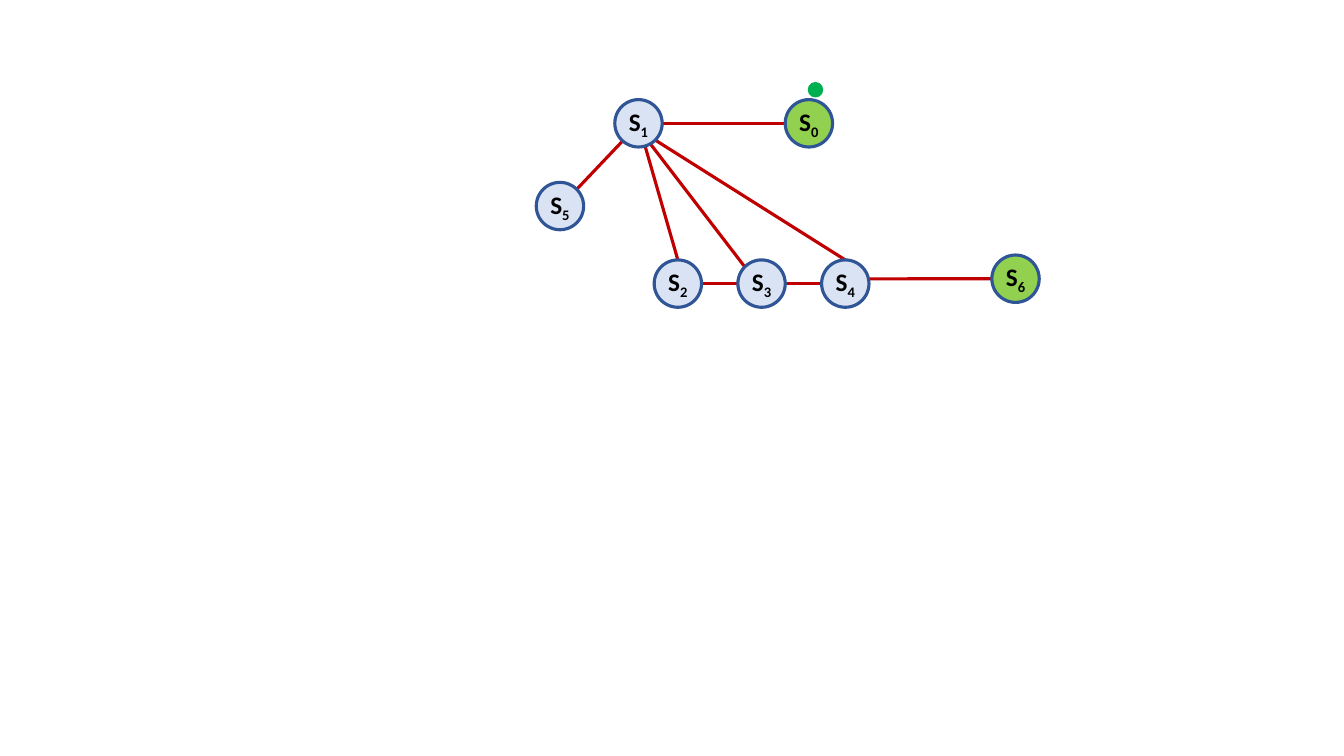
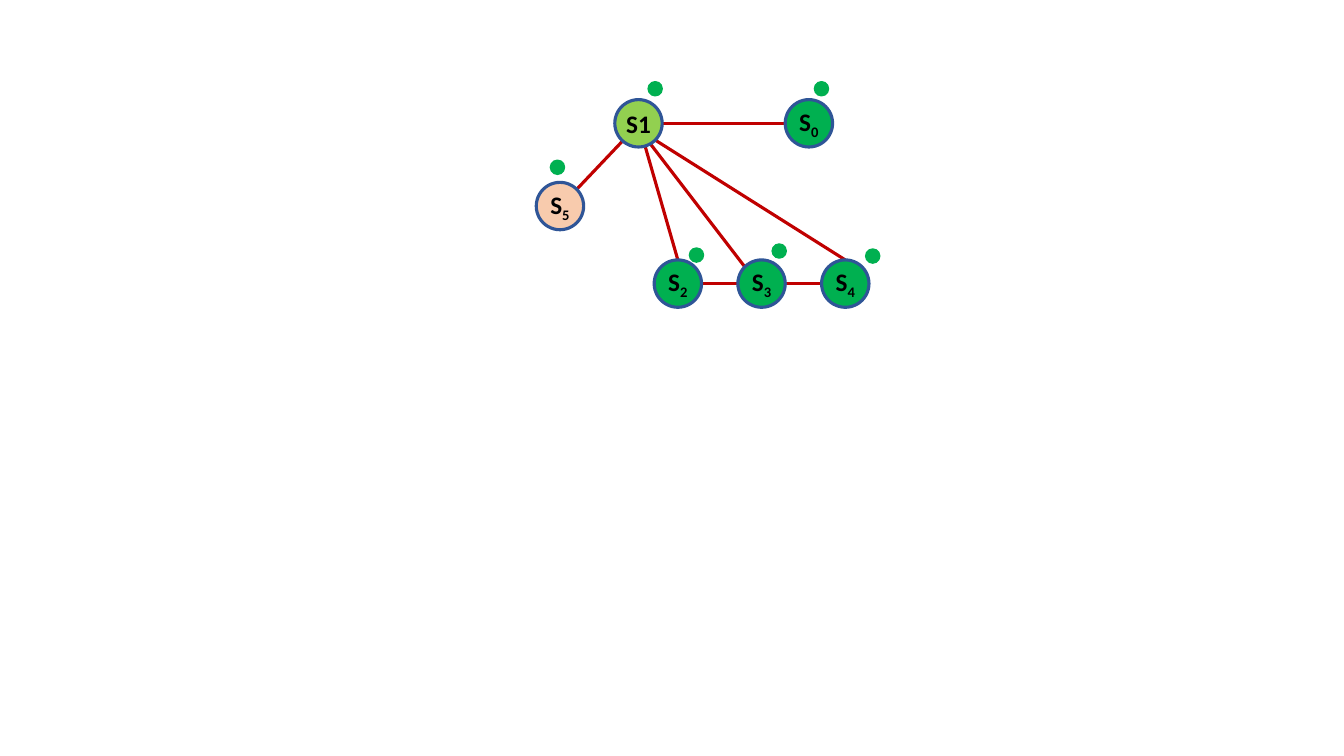
from lxml import etree
from pptx import Presentation
from pptx.dml.color import RGBColor
from pptx.enum.shapes import MSO_CONNECTOR, MSO_SHAPE
from pptx.enum.text import MSO_ANCHOR, PP_ALIGN
from pptx.oxml.ns import qn
from pptx.util import Pt

OVAL = MSO_SHAPE.OVAL
STRAIGHT = MSO_CONNECTOR.STRAIGHT
MIDDLE = MSO_ANCHOR.MIDDLE
CENTER = PP_ALIGN.CENTER

COLORS = {
    "link": "C00000",
    "outline": "2F5597",
    "text": "000000",
    "idle": "DAE3F3",
    "active": "92D050",
    "done": "00B050",
    "warm": "F8CBAD",
}
FONT = "Calibri"
BLANK_LAYOUT = 6
NODE_SIZE = 33.84
DOT_SIZE = 10.08
LINE_WIDTH = 2.25

# Node centres in points; S2 to S4 form an evenly spaced row
ROW_LEFT, ROW_Y, ROW_STEP = 484.2, 202.6, 59.8
CENTERS = {
    "S1": (456.1, 88.1),
    **{f"S{i + 2}": (ROW_LEFT + i * ROW_STEP, ROW_Y) for i in range(3)},
    "S5": (400, 147.2),
    "S0": (577.8, 88.1),
    "S6": (725.4, 199.1),
}

# Anchors on a node, in radii from its centre
DIAGONAL = 0.71
MIDPOINT, TOP = (0, 0), (0, -1)
LEFT, RIGHT = (-1, 0), (1, 0)
TOP_LEFT, TOP_RIGHT = (-DIAGONAL, -DIAGONAL), (DIAGONAL, -DIAGONAL)
BOTTOM_RIGHT = (DIAGONAL, DIAGONAL)
RIGHT_RAISED = (1, -0.2)

SHARED_LINKS = [
    ("S1", RIGHT, "S0", LEFT),
    ("S4", TOP, "S1", BOTTOM_RIGHT),
    ("S1", TOP_LEFT, "S3", TOP_LEFT),
    ("S1", MIDPOINT, "S2", TOP),
    ("S1", TOP_RIGHT, "S5", TOP_RIGHT),
    ("S2", RIGHT, "S3", LEFT),
    ("S3", RIGHT, "S4", LEFT),
]
EXTRA_LINK = ("S4", RIGHT_RAISED, "S6", LEFT)

# Each slide: links, node fills, dot offsets from node centres, plain labels
SLIDES = [
    {
        "links": SHARED_LINKS + [EXTRA_LINK],
        "fills": {"S1": "idle", "S2": "idle", "S3": "idle", "S4": "idle",
                  "S5": "idle", "S0": "active", "S6": "active"},
        "dots": {"S0": (4.7, -24)},
        "plain": set(),
    },
    {
        "links": SHARED_LINKS,
        "fills": {"S1": "active", "S2": "done", "S3": "done", "S4": "done",
                  "S5": "warm", "S0": "done"},
        "dots": {"S0": (9, -24.7), "S1": (11.9, -24.7), "S2": (13.3, -20.4),
                 "S3": (12.6, -23.3), "S4": (19.6, -19.7), "S5": (-1.8, -27.7)},
        "plain": {"S1"},
    },
]


def color(name):
    return RGBColor.from_string(COLORS[name])


def anchor_point(node, anchor):
    return [Pt(center + offset * NODE_SIZE / 2)
            for center, offset in zip(CENTERS[node], anchor)]


def add_link(slide, start, start_anchor, end, end_anchor):
    connector = slide.shapes.add_connector(
        STRAIGHT, *anchor_point(start, start_anchor), *anchor_point(end, end_anchor))
    connector.line.color.rgb = color("link")
    connector.line.width = Pt(LINE_WIDTH)
    properties = connector._element.find(qn("p:spPr"))
    etree.SubElement(properties, qn("a:effectLst"))


def add_circle(slide, center, size, fill, outline, width):
    left, top = (Pt(value - size / 2) for value in center)
    shape = slide.shapes.add_shape(OVAL, left, top, Pt(size), Pt(size))
    shape.shadow.inherit = False
    shape.fill.solid()
    shape.fill.fore_color.rgb = color(fill)
    shape.line.color.rgb = color(outline)
    shape.line.width = Pt(width)
    return shape


def add_run(paragraph, text, subscript=False):
    run = paragraph.add_run()
    run.text = text
    run.font.name = FONT
    run.font.size = Pt(18)
    run.font.bold = True
    run.font.color.rgb = color("text")
    if subscript:
        run._r.get_or_add_rPr().set("baseline", "-25000")


def add_node(slide, name, fill, plain):
    shape = add_circle(slide, CENTERS[name], NODE_SIZE, fill, "outline", LINE_WIDTH)
    frame = shape.text_frame
    frame.margin_left = frame.margin_right = Pt(0)
    frame.margin_top = frame.margin_bottom = Pt(0)
    frame.vertical_anchor = MIDDLE
    paragraph = frame.paragraphs[0]
    paragraph.alignment = CENTER
    if plain:
        add_run(paragraph, name)
    else:
        add_run(paragraph, name[0])
        add_run(paragraph, name[1:], subscript=True)


def add_dot(slide, node, offset):
    center = [base + shift for base, shift in zip(CENTERS[node], offset)]
    add_circle(slide, center, DOT_SIZE, "done", "done", 1)


def add_graph(presentation, graph):
    slide = presentation.slides.add_slide(presentation.slide_layouts[BLANK_LAYOUT])
    for link in graph["links"]:
        add_link(slide, *link)
    for name, fill in graph["fills"].items():
        add_node(slide, name, fill, name in graph["plain"])
    for node, offset in graph["dots"].items():
        add_dot(slide, node, offset)


def main():
    presentation = Presentation()
    presentation.slide_width = Pt(960)
    presentation.slide_height = Pt(540)
    for graph in SLIDES:
        add_graph(presentation, graph)
    presentation.save("out.pptx")


main()
